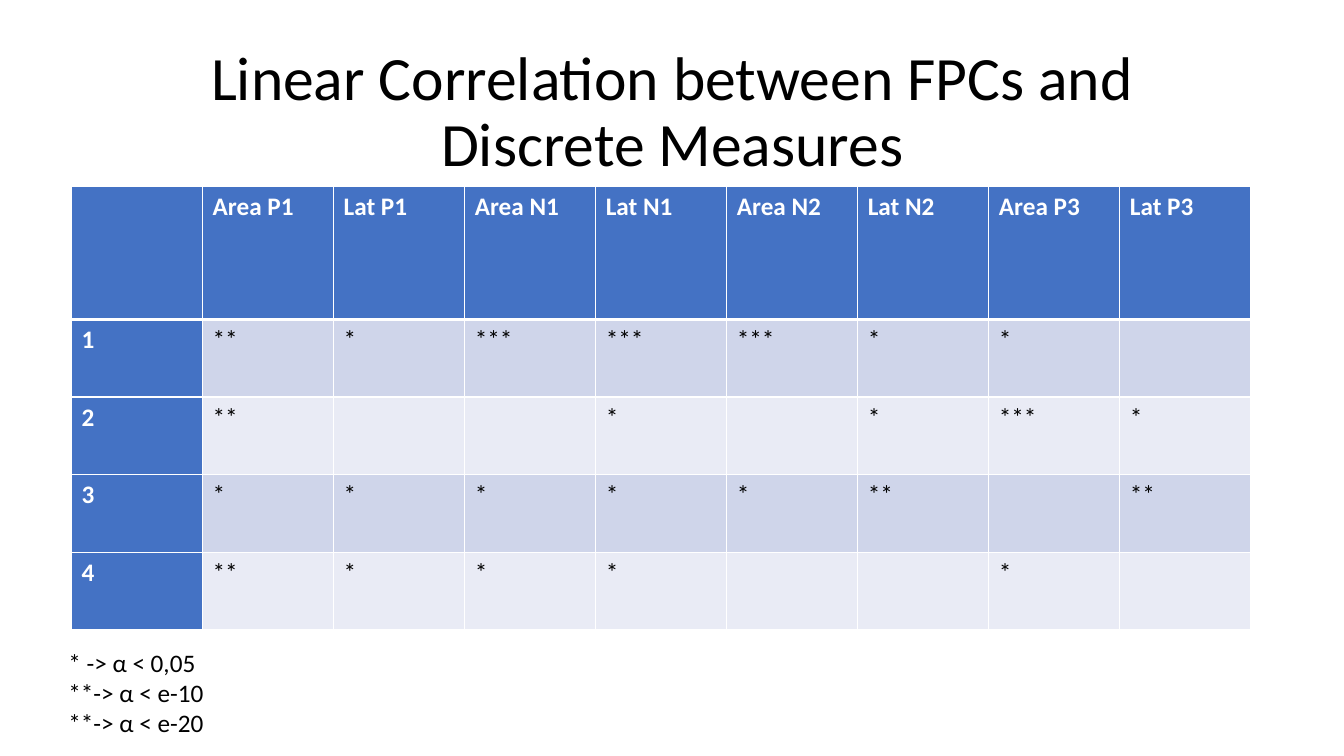
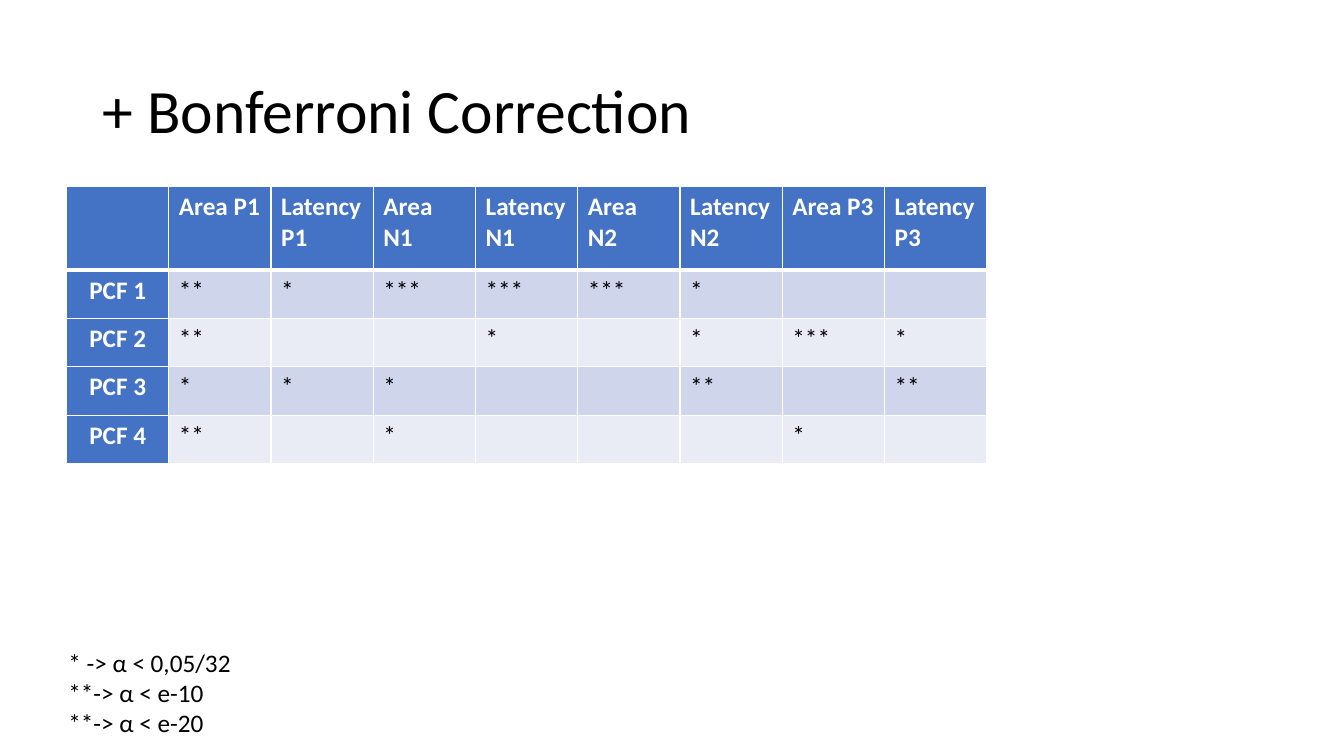
from lxml.etree import SubElement
from pptx import Presentation
from pptx.dml.color import RGBColor
from pptx.enum.text import MSO_ANCHOR, PP_ALIGN
from pptx.oxml.ns import qn
from pptx.util import Inches, Pt

COLORS = {
    "text": "000000",
    "white": "FFFFFF",
    "header": "4472C4",
    "odd_row": "CFD5EA",
    "even_row": "E9EBF5",
}
FONT = "Calibri"

SLIDES = [
    {
        "title": "Linear Correlation between FPCs and Discrete Measures",
        "title_align": PP_ALIGN.CENTER,
        "left": 0.71, "width": 11.7, "header_height": 1.32, "row_height": 0.77,
        "latency": "Lat", "row_label": "", "label_align": PP_ALIGN.LEFT,
        "stars": [
            ["**", "*", "***", "***", "***", "*", "*", ""],
            ["**", "", "", "*", "", "*", "***", "*"],
            ["*", "*", "*", "*", "*", "**", "", "**"],
            ["**", "*", "*", "*", "", "", "*", ""],
        ],
        "threshold": "0,05",
    },
    {
        "title": "+ Bonferroni Correction",
        "title_align": PP_ALIGN.LEFT,
        "left": 0.66, "width": 9.13, "header_height": 0.83, "row_height": 0.48,
        "latency": "Latency", "row_label": "PCF ", "label_align": PP_ALIGN.CENTER,
        "stars": [
            ["**", "*", "***", "***", "***", "*", "", ""],
            ["**", "", "", "*", "", "*", "***", "*"],
            ["*", "*", "*", "", "", "**", "", "**"],
            ["**", "", "*", "", "", "", "*", ""],
        ],
        "threshold": "0,05/32",
    },
]


def write_text(frame, text, size=18, color="text", bold=False,
               align=PP_ALIGN.LEFT, line_spacing=None):
    """Fill a text frame, one paragraph for each line of the text."""
    frame.word_wrap = True
    frame.text = text
    for paragraph in frame.paragraphs:
        paragraph.alignment = align
        paragraph.line_spacing = line_spacing
        paragraph.font.size = Pt(size)
        for run in paragraph.runs:
            run.font.name = FONT
            run.font.size = Pt(size)
            run.font.bold = bold
            run.font.color.rgb = RGBColor.from_string(COLORS[color])


def format_cell(cell, fill, top, bottom):
    """Give a cell its fill and white borders; top and bottom are in points."""
    properties = cell._tc.get_or_add_tcPr()
    for side, width in (("L", 1), ("R", 1), ("T", top), ("B", bottom)):
        line = SubElement(properties, qn(f"a:ln{side}"), w=str(Pt(width)))
        line_fill = SubElement(line, qn("a:solidFill"))
        SubElement(line_fill, qn("a:srgbClr"), val=COLORS["white"])
    cell.fill.solid()
    cell.fill.fore_color.rgb = RGBColor.from_string(COLORS[fill])


presentation = Presentation()
presentation.slide_width = Inches(13.33)
presentation.slide_height = Inches(7.5)

for content in SLIDES:
    slide = presentation.slides.add_slide(presentation.slide_layouts[6])

    title = slide.shapes.add_textbox(Inches(0.92), Inches(0.4), Inches(11.5), Inches(1.45))
    title.text_frame.vertical_anchor = MSO_ANCHOR.MIDDLE
    write_text(title.text_frame, content["title"], size=44,
               align=content["title_align"], line_spacing=0.9)

    header = [""]
    for wave in ("P1", "N1", "N2", "P3"):
        header += [f"Area {wave}", f"{content['latency']} {wave}"]
    rows = [header]
    for number, stars in enumerate(content["stars"], start=1):
        rows.append([f"{content['row_label']}{number}", *stars])

    heights = [content["header_height"]] + [content["row_height"]] * len(content["stars"])
    table = slide.shapes.add_table(
        len(rows), len(header), Inches(content["left"]), Inches(1.85),
        Inches(content["width"]), Inches(sum(heights))).table
    table.first_col = True
    for column in table.columns:
        column.width = Inches(content["width"] / len(header))

    for row_index, values in enumerate(rows):
        table.rows[row_index].height = Inches(heights[row_index])
        band = "odd_row" if row_index % 2 else "even_row"
        for column_index, value in enumerate(values):
            cell = table.cell(row_index, column_index)
            is_label = row_index == 0 or column_index == 0
            format_cell(cell, "header" if is_label else band,
                        top=3 if row_index == 1 else 1,
                        bottom=3 if row_index == 0 else 1)
            write_text(cell.text_frame, value, bold=is_label,
                       color="white" if is_label else "text",
                       align=content["label_align"] if column_index == 0 else PP_ALIGN.LEFT)

    legend = slide.shapes.add_textbox(Inches(0.58), Inches(6.37), Inches(11.97), Inches(1.31))
    write_text(legend.text_frame,
               f"* -> α < {content['threshold']}\n**-> α < e-10\n**-> α < e-20")

presentation.save("out.pptx")
